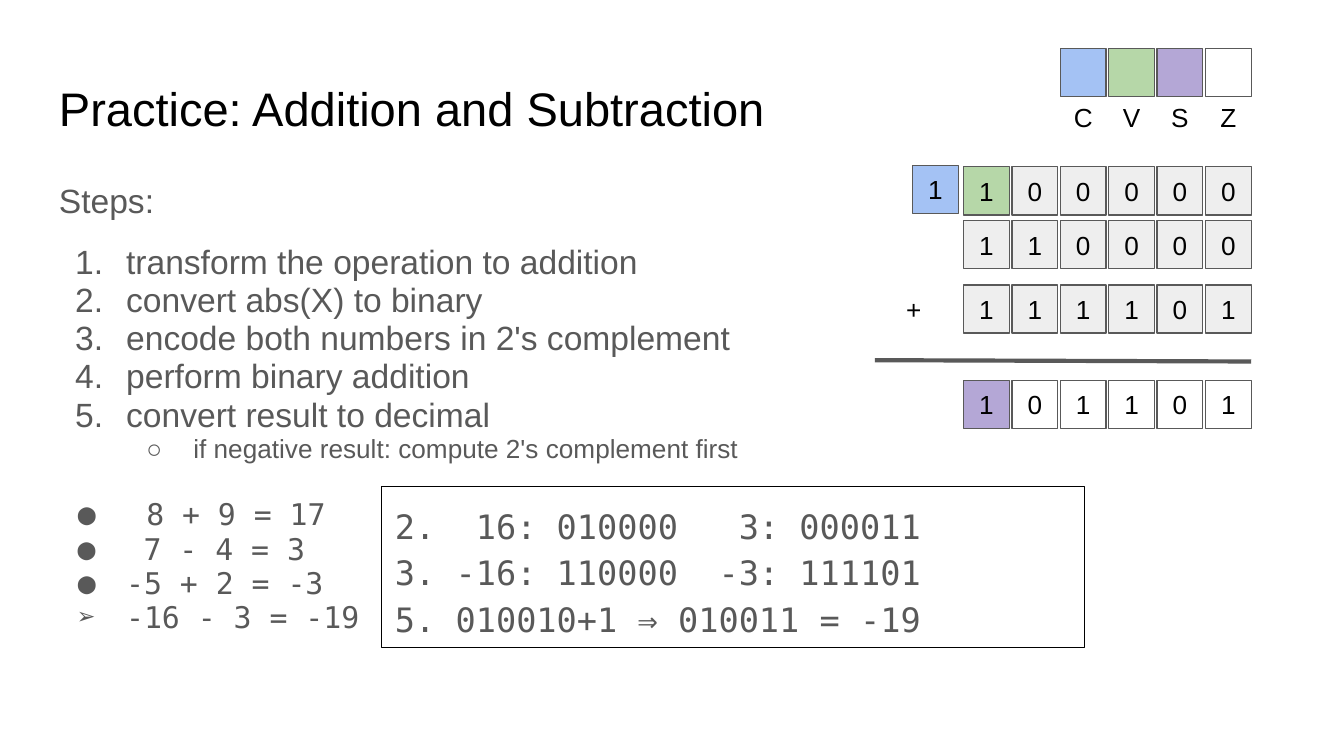
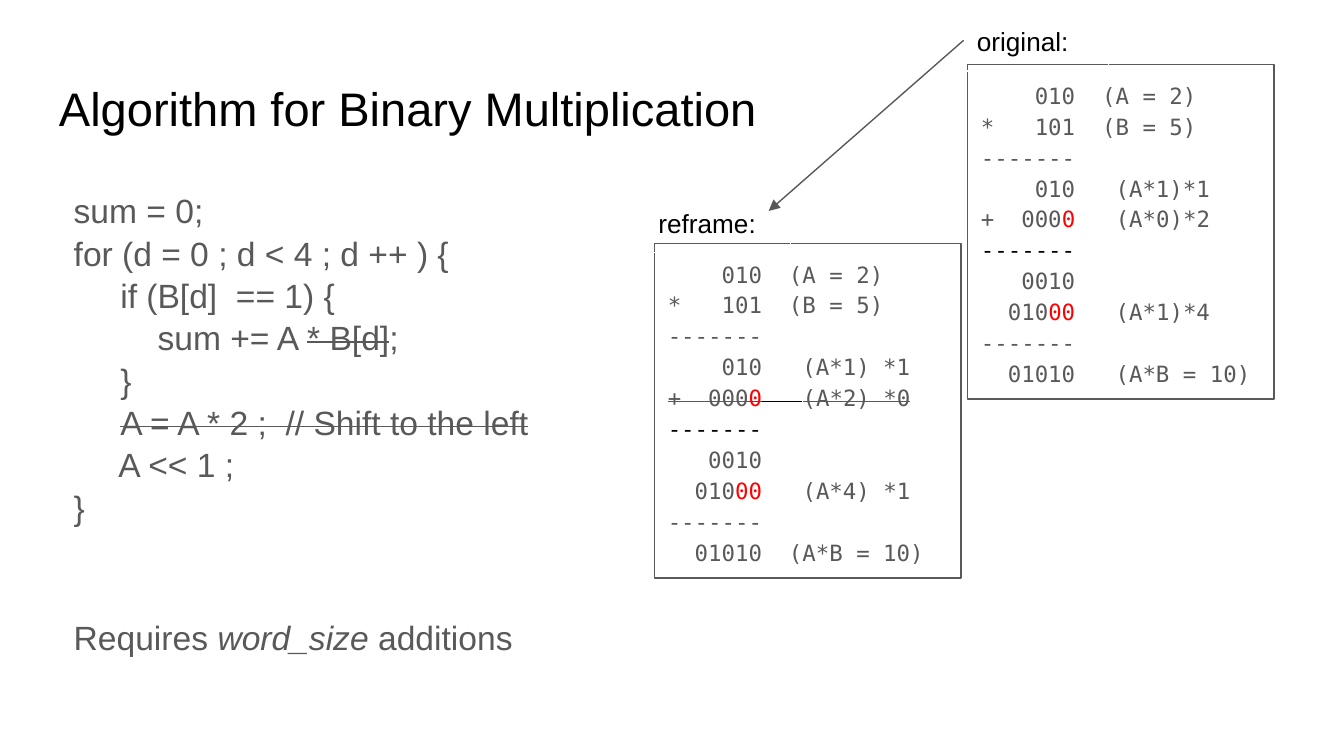
from lxml import etree
from pptx import Presentation
from pptx import util as u
from pptx.dml import color as dml
from pptx.enum import shapes, text
from pptx.oxml import ns

SANS, MONO = "Arial", "DejaVu Sans Mono"
BLACK, WHITE, GRAY, PALE, RED = "000000", "FFFFFF", "595959", "EEEEEE", "FF0000"
BLUE, GREEN, PURPLE = "A4C2F4", "B6D7A8", "B4A7D6"
SLIDE_WIDTH = 10
CELL_WIDTH, CELL_HEIGHT, CELL_STEP, BITS_LEFT = 0.34, 0.36, 0.36, 7.17


def rgb(value):
    return dml.RGBColor.from_string(value)


def add_element(parent, tag, **attributes):
    return etree.SubElement(parent, ns.qn(tag), **attributes)


def set_bullet(paragraph, font, bullet, left, hanging):
    properties = paragraph._p.get_or_add_pPr()
    properties.set("marL", str(u.Inches(left)))
    properties.set("indent", str(-u.Inches(hanging)))
    add_element(add_element(properties, "a:buClr"), "a:srgbClr", val=GRAY)
    add_element(properties, "a:buFont", typeface=font)
    if bullet == "1.":
        add_element(properties, "a:buAutoNum", type="arabicPeriod")
    else:
        add_element(properties, "a:buChar", char=bullet)


def add_run(paragraph, words, color=None, strike=False, italic=False):
    for number, line in enumerate(words.split("\n")):
        if number:
            paragraph.add_line_break()
        if not line:
            continue
        run = paragraph.add_run()
        run.text = line
        if color:
            run.font.color.rgb = rgb(color)
        if italic:
            run.font.italic = True
        if strike:
            run._r.get_or_add_rPr().set("strike", "sngStrike")


def write(frame, runs, size, color=BLACK, font=SANS, spacing=None, before=0,
          after=0, align=text.PP_ALIGN.LEFT, bullet=None):
    paragraph = frame.paragraphs[0]
    if paragraph.runs:
        paragraph = frame.add_paragraph()
    if bullet:
        set_bullet(paragraph, font, *bullet)
    paragraph.alignment = align
    paragraph.space_before = u.Pt(before)
    paragraph.space_after = u.Pt(after)
    if spacing:
        paragraph.line_spacing = spacing
    paragraph.font.size = u.Pt(size)
    paragraph.font.name = font
    paragraph.font.color.rgb = rgb(color)
    for words, style in [(runs, {})] if isinstance(runs, str) else runs:
        add_run(paragraph, words, **style)


def prepare_frame(shape, anchor=text.MSO_ANCHOR.TOP):
    frame = shape.text_frame
    frame.word_wrap = True
    frame.vertical_anchor = anchor
    frame.margin_left = frame.margin_right = u.Inches(0.1)
    frame.margin_top = frame.margin_bottom = u.Inches(0.1)
    return frame


def add_text_box(slide, left, top, width, height, anchor=text.MSO_ANCHOR.TOP):
    box = slide.shapes.add_textbox(*map(u.Inches, (left, top, width, height)))
    return prepare_frame(box, anchor)


def add_rectangle(slide, left, top, width, height, fill=None, line=GRAY,
                  anchor=text.MSO_ANCHOR.TOP):
    shape = slide.shapes.add_shape(shapes.MSO_SHAPE.RECTANGLE,
                                   *map(u.Inches, (left, top, width, height)))
    shape.shadow.inherit = False
    if fill:
        shape.fill.solid()
        shape.fill.fore_color.rgb = rgb(fill)
    else:
        shape.fill.background()
    if line:
        shape.line.color.rgb = rgb(line)
        shape.line.width = u.Pt(0.75)
    else:
        shape.line.fill.background()
    return prepare_frame(shape, anchor)


def add_line(slide, start, end, width, arrow=False):
    line = slide.shapes.add_connector(shapes.MSO_CONNECTOR.STRAIGHT,
                                      *map(u.Inches, start + end))
    line.line.color.rgb = rgb(GRAY)
    line.line.width = u.Pt(width)
    if arrow:
        add_element(line.line._get_or_add_ln(), "a:tailEnd", type="triangle")
    add_element(line._element.spPr, "a:effectLst")


def add_slide(presentation, title):
    slide = presentation.slides.add_slide(presentation.slide_layouts[6])
    write(add_text_box(slide, 0.34, 0.49, 9.32, 0.63), title, 25.2)
    return slide


def add_cell(slide, left, top, symbol="", fill=PALE, line=GRAY):
    frame = add_rectangle(slide, left, top, CELL_WIDTH, CELL_HEIGHT, fill, line,
                          text.MSO_ANCHOR.MIDDLE)
    if symbol:
        write(frame, symbol, 14, align=text.PP_ALIGN.CENTER)


def add_bits(slide, top, bits, fill=PALE, first_fill=None):
    for column, bit in enumerate(bits):
        add_cell(slide, BITS_LEFT + column * CELL_STEP, top, bit,
                 first_fill if first_fill and column == 0 else fill)


def add_flags(slide):
    flags = zip("CVSZ", (BLUE, GREEN, PURPLE, WHITE))
    for column, (flag, fill) in enumerate(flags, start=2):
        left = BITS_LEFT + column * CELL_STEP
        add_cell(slide, left, 0.36, fill=fill)
        label = add_text_box(slide, left, 0.69, CELL_WIDTH, CELL_HEIGHT,
                             text.MSO_ANCHOR.MIDDLE)
        write(label, flag, 14, align=text.PP_ALIGN.CENTER)


def add_working(slide, left, top, width, height, runs, size, line=GRAY):
    frame = add_rectangle(slide, left, top, width, height, line=line)
    write(frame, runs, size, GRAY, MONO, spacing=1.15, after=12)


def add_multiplication(slide, left, top, label, label_left, label_top,
                       products, result_gap, strike=False):
    first, second, third = products
    runs = [
        (f"    010  (A = 2)\n*   101  (B = 5)\n-------\n    010   {first}\n", {}),
        ("+  000", {"strike": strike}),
        ("0", {"color": RED, "strike": strike}),
        ("   ", {"color": BLACK, "strike": strike}),
        (second, {"strike": strike}),
        ("\n-------", {"color": BLACK}),
        ("\n   0010\n  010", {}),
        ("00", {"color": RED}),
        (f"   {third}\n-------\n  01010{result_gap}(A*B = 10)", {}),
    ]
    add_working(slide, left, top, 2.28, 2.49, runs, 12)
    write(add_rectangle(slide, label_left, label_top, 1.08, 0.44, line=WHITE),
          label, 14)


def build_addition(presentation):
    slide = add_slide(presentation, "Practice: Addition and Subtraction")
    body = add_text_box(slide, 0.34, 1.26, 9.32, 3.74)
    write(body, "Steps:", 18, GRAY, spacing=0.95)
    steps = ("transform the operation to addition", "convert abs(X) to binary",
             "encode both numbers in 2's complement", "perform binary addition",
             "convert result to decimal")
    for number, step in enumerate(steps):
        write(body, step, 18, GRAY, spacing=0.95, before=0 if number else 12,
              bullet=("1.", 0.5, 0.38))
    write(body, "if negative result: compute 2's complement first", 14, GRAY,
          spacing=0.95, bullet=("○", 1, 0.35))
    exercises = (("8 + 9 = 17", "●", 0.65, 18), ("7 - 4 = 3", "●", 0.63, 0.5),
                 ("-5 + 2 = -3", "●", 0.5, 0), ("-16 - 3 = -19", "➢", 0.5, 0))
    for exercise, bullet, left, before in exercises:
        write(body, exercise, 16, GRAY, MONO, spacing=0.95, before=before,
              bullet=(bullet, left, left - 0.14))

    add_flags(slide)
    add_cell(slide, 6.79, 1.23, "1", BLUE)
    add_bits(slide, 1.24, "100000", first_fill=GREEN)
    add_bits(slide, 1.64, "110000")
    add_cell(slide, 6.63, 2.12, "+", WHITE, line=None)
    add_bits(slide, 2.12, "111101")
    add_line(slide, (6.51, 2.68), (9.31, 2.69), 2.25)
    add_bits(slide, 2.83, "101101", WHITE, PURPLE)
    add_working(slide, 2.84, 3.62, 5.23, 1.2,
                "2.  16: 010000   3: 000011\n"
                "3. -16: 110000  -3: 111101\n"
                "5. 010010+1 ⇒ 010011 = -19", 18, BLACK)


def build_multiplication(presentation):
    slide = add_slide(presentation, "Algorithm for Binary Multiplication")
    body = add_text_box(slide, 0.45, 1.3, 9.32, 3.74)
    code = [
        ("sum = 0;\nfor (d = 0 ; d < 4 ; d ++ ) {\n"
         "     if (B[d]  == 1) {\n         sum += A ", {}),
        ("* B[d]", {"strike": True}),
        (";\n     }\n     ", {}),
        ("A = A * 2 ;  // Shift to the left", {"strike": True}),
        ("\n     A << 1 ;\n}", {}),
    ]
    write(body, code, 18, GRAY, spacing=1.05)
    write(body, [("Requires ", {}), ("word_size", {"italic": True}),
                 (" additions", {})], 18, GRAY, spacing=1.05, before=47, after=12)
    add_multiplication(slide, 7.2, 0.48, "original:", 7.17, 0.09,
                       ("(A*1)*1", "(A*0)*2", "(A*1)*4"), "   ")
    add_multiplication(slide, 4.87, 1.81, "reframe:", 4.8, 1.44,
                       ("(A*1) *1", "(A*2) *0", "(A*4) *1"), "  ", strike=True)
    add_line(slide, (7.17, 0.3), (5.72, 1.57), 0.75, arrow=True)


def main():
    presentation = Presentation()
    presentation.slide_width = u.Inches(SLIDE_WIDTH)
    presentation.slide_height = u.Inches(SLIDE_WIDTH * 9 / 16)
    build_addition(presentation)
    build_multiplication(presentation)
    presentation.save("out.pptx")


if __name__ == "__main__":
    main()
